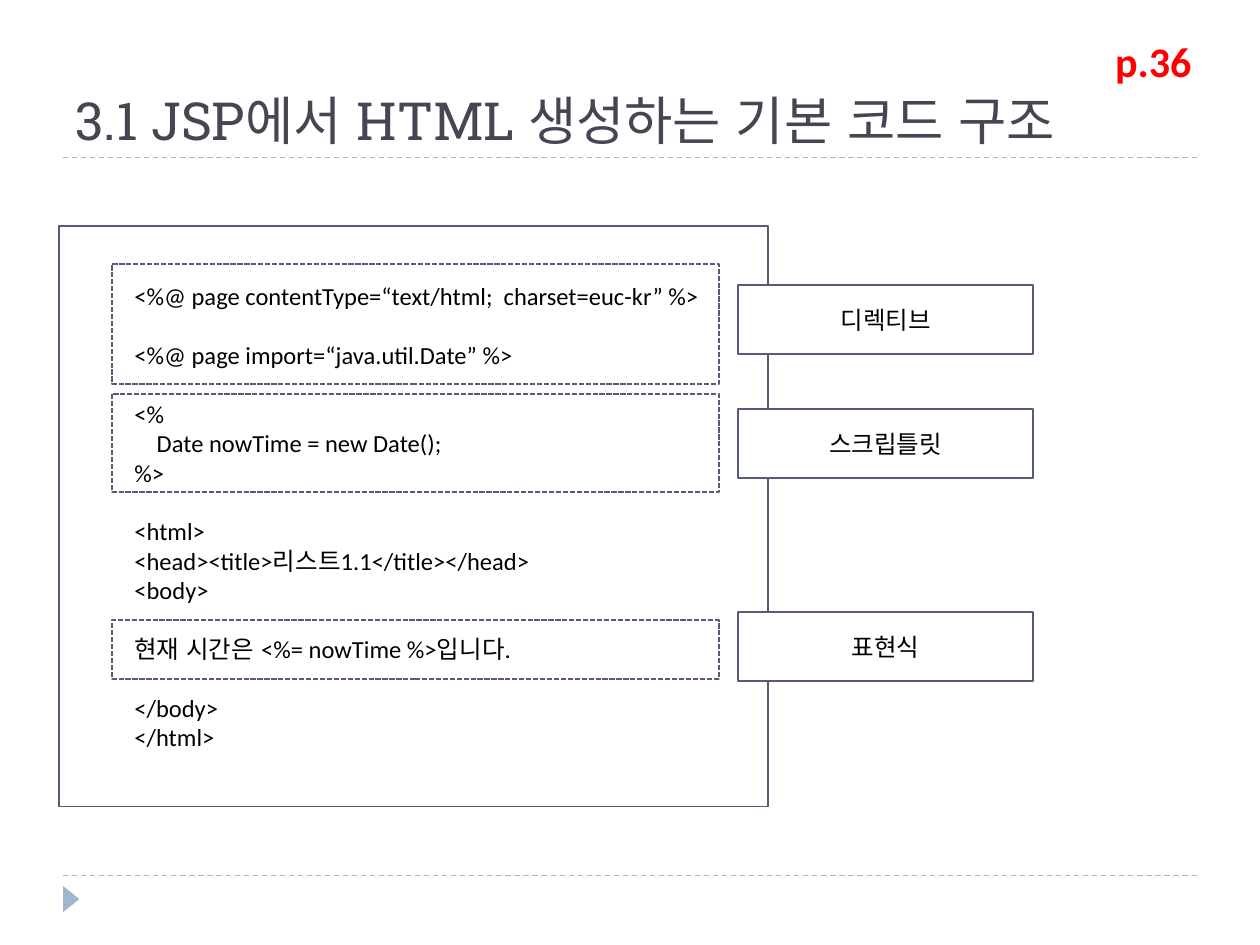
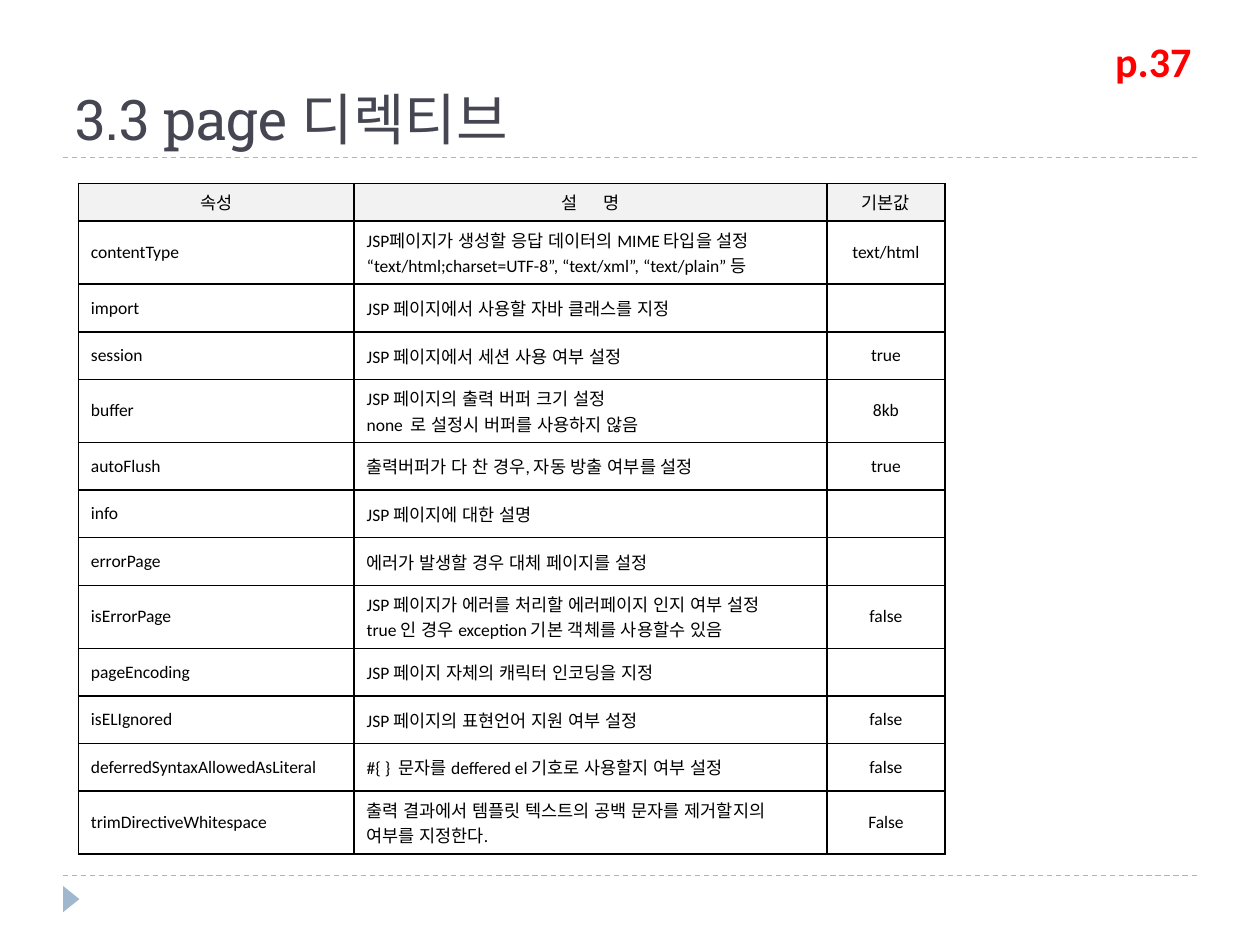
"""Build two slides on the structure of a JSP page and its page directive."""
from dataclasses import dataclass

from lxml.etree import SubElement
from pptx import Presentation
from pptx.dml.color import RGBColor
from pptx.enum.dml import MSO_LINE
from pptx.enum.lang import MSO_LANGUAGE_ID
from pptx.enum.shapes import MSO_CONNECTOR, MSO_SHAPE
from pptx.enum.text import MSO_ANCHOR, MSO_AUTO_SIZE, PP_ALIGN
from pptx.oxml.ns import qn
from pptx.util import Cm, Pt


@dataclass(frozen=True)
class Theme:
    """Colours, fonts and type sizes of the deck."""
    title_colour: str = "464653"
    text_colour: str = "000000"
    page_colour: str = "FF0000"
    outline: str = "545C79"
    accent: str = "9FB8CD"
    paper: str = "FFFFFF"
    header_fill: str = "F2F2F2"
    title_font: str = "Roboto Slab"
    body_font: str = "Calibri"
    code_size: float = 14
    code_gap: float = 16.8
    table_size: float = 10
    page_size: float = 24


CODE_BLOCKS = [
    ["<%@ page contentType=“text/html;  charset=euc-kr” %>"],
    ["<%@ page import=“java.util.Date” %>"],
    ["<%", "\tDate nowTime = new Date();", "%>"],
    ["<html>", "<head><title>리스트1.1</title></head>", "<body>"],
    ["현재 시간은 <%= nowTime %>입니다."],
    ["</body>", "</html>"],
]
CODE_FRAMES = [(5.32, 2.42), (7.94, 1.98), (12.5, 1.19)]
CODE_LABELS = [("디렉티브", 5.75), ("스크립틀릿", 8.25), ("표현식", 12.34)]

COLUMN_WIDTHS = [5.56, 9.53, 2.38]
HEADER_HEIGHT, ROW_HEIGHT, TALL_ROW_HEIGHT = 0.76, 0.96, 1.27
TALL_ROWS = ("contentType", "buffer", "isErrorPage", "trimDirectiveWhitespace")
ATTRIBUTES = [
    ("속성", "설 명", "기본값"),
    ("contentType", "JSP페이지가 생성할 응답 데이터의 MIME 타입을 설정\n"
     "“text/html;charset=UTF-8”, “text/xml”, “text/plain” 등", "text/html"),
    ("import", "JSP 페이지에서 사용할 자바 클래스를 지정", ""),
    ("session", "JSP 페이지에서 세션 사용 여부 설정", "true"),
    ("buffer", "JSP 페이지의 출력 버퍼 크기 설정\n"
     "none  로 설정시 버퍼를 사용하지 않음", "8kb"),
    ("autoFlush", "출력버퍼가 다 찬 경우, 자동 방출 여부를 설정", "true"),
    ("info", "JSP 페이지에 대한 설명", ""),
    ("errorPage", "에러가 발생할 경우 대체 페이지를 설정", ""),
    ("isErrorPage", "JSP 페이지가 에러를 처리할 에러페이지 인지 여부 설정\n"
     "true 인 경우 exception 기본 객체를 사용할수 있음", "false"),
    ("pageEncoding", "JSP 페이지 자체의 캐릭터 인코딩을 지정", ""),
    ("isELIgnored", "JSP 페이지의 표현언어 지원 여부 설정", "false"),
    ("deferredSyntaxAllowedAsLiteral",
     "#{ }  문자를 deffered el 기호로 사용할지 여부 설정", "false"),
    ("trimDirectiveWhitespace",
     "출력 결과에서 템플릿 텍스트의 공백 문자를 제거할지의 여부를 지정한다.", "False"),
]


class SlideBuilder:
    """Hold the theme and the current slide, and draw each kind of element."""

    def __init__(self, deck, theme):
        self.deck = deck
        self.theme = theme
        self.page = None

    def start_page(self, title, title_size, title_width, page_number):
        """Add a slide with its title, rules, marker and page reference."""
        self.page = self.deck.slides.add_slide(self.deck.slide_layouts[5])
        box = self.page.shapes.title
        box.left, box.top = Cm(1.27), Cm(0.43)
        box.width, box.height = Cm(title_width), Cm(2.75)
        frame = box.text_frame
        frame.auto_size = MSO_AUTO_SIZE.NONE
        frame.vertical_anchor = MSO_ANCHOR.BOTTOM
        para = frame.paragraphs[0]
        para.alignment = PP_ALIGN.LEFT
        self.add_span(para, title, title_size, self.theme.title_colour,
                      self.theme.title_font)
        for height in (3.18, 17.65):
            self.add_rule(height)
        marker = self.add_box(1.17, 17.96, 0.53, 0.33, fill=self.theme.accent,
                              outline=None, kind=MSO_SHAPE.ISOSCELES_TRIANGLE)
        marker.rotation = 90
        self.add_page_number(page_number)

    def add_span(self, para, text, size, colour=None, font=None, bold=False):
        """Append one formatted run to a paragraph."""
        span = para.add_run()
        span.text = text
        span.font.size = Pt(size)
        span.font.name = font or self.theme.body_font
        span.font.bold = bold
        span.font.language_id = MSO_LANGUAGE_ID.KOREAN
        span.font.color.rgb = RGBColor.from_string(colour or self.theme.text_colour)
        return span

    def add_rule(self, height):
        """Draw a dashed line across the slide."""
        rule = self.page.shapes.add_connector(
            MSO_CONNECTOR.STRAIGHT, Cm(1.27), Cm(height), Cm(24.13), Cm(height))
        rule.line.color.rgb = RGBColor.from_string(self.theme.accent)
        rule.line.width = Pt(0.75)
        rule.line.dash_style = MSO_LINE.DASH
        SubElement(rule._element.spPr, qn("a:effectLst"))

    def add_page_number(self, text):
        """Write the book page in the top right corner."""
        box = self.page.shapes.add_textbox(Cm(22.23), Cm(0.6), Cm(2.59), Cm(1.27))
        box.text_frame.word_wrap = True
        box.text_frame.auto_size = MSO_AUTO_SIZE.SHAPE_TO_FIT_TEXT
        self.add_span(box.text_frame.paragraphs[0], text, self.theme.page_size,
                      self.theme.page_colour, bold=True)

    def add_box(self, left, top, width, height, fill=None, outline=Theme.outline,
                dash=None, kind=MSO_SHAPE.RECTANGLE):
        """Draw a preset shape with an optional fill and outline."""
        box = self.page.shapes.add_shape(kind, Cm(left), Cm(top), Cm(width), Cm(height))
        box.shadow.inherit = False
        if fill:
            box.fill.solid()
            box.fill.fore_color.rgb = RGBColor.from_string(fill)
        else:
            box.fill.background()
        if outline:
            box.line.color.rgb = RGBColor.from_string(outline)
            box.line.width = Pt(1)
            box.line.dash_style = dash
        else:
            box.line.fill.background()
        box.text_frame.vertical_anchor = MSO_ANCHOR.MIDDLE
        return box

    def add_label(self, text, top):
        """Draw a white box that names a part of the code."""
        box = self.add_box(14.88, top, 5.95, 1.39, fill=self.theme.paper)
        para = box.text_frame.paragraphs[0]
        para.alignment = PP_ALIGN.CENTER
        self.add_span(para, text, self.theme.code_size)

    def add_code(self, blocks):
        """Draw the code panel, with a line's gap between blocks."""
        frame = self.add_box(1.19, 4.56, 14.3, 11.7).text_frame
        para = frame.paragraphs[0]
        for block_index, block in enumerate(blocks):
            for line_index, line in enumerate(block):
                if block_index or line_index:
                    para = frame.add_paragraph()
                para.alignment = PP_ALIGN.LEFT
                margin = 1.72 if line.startswith("\t") else 1.27
                para._p.get_or_add_pPr().set("marL", str(Cm(margin)))
                if block_index and not line_index:
                    para.space_before = Pt(self.theme.code_gap)
                self.add_span(para, line.strip(), self.theme.code_size)

    def add_table(self, rows):
        """Draw the attribute table with a shaded header."""
        heights = [HEADER_HEIGHT] + [
            TALL_ROW_HEIGHT if name in TALL_ROWS else ROW_HEIGHT
            for name, *_ in rows[1:]]
        table = self.page.shapes.add_table(
            len(rows), len(COLUMN_WIDTHS), Cm(1.58), Cm(3.7),
            Cm(sum(COLUMN_WIDTHS)), Cm(sum(heights))).table
        table.first_row = table.horz_banding = False
        for column, width in zip(table.columns, COLUMN_WIDTHS):
            column.width = Cm(width)
        for row_index, (values, height) in enumerate(zip(rows, heights)):
            table.rows[row_index].height = Cm(height)
            for column_index, value in enumerate(values):
                self.fill_cell(table.cell(row_index, column_index), value,
                               header=row_index == 0,
                               centred=row_index == 0 or column_index == 2)
        table.cell(len(rows) - 1, 1).margin_right = Cm(0.5)

    def fill_cell(self, cell, value, header, centred):
        """Write and format one table cell."""
        cell.vertical_anchor = MSO_ANCHOR.MIDDLE
        self.add_borders(cell)
        if header:
            cell.fill.solid()
            cell.fill.fore_color.rgb = RGBColor.from_string(self.theme.header_fill)
        else:
            cell.fill.background()
        for index, line in enumerate(value.split("\n")):
            frame = cell.text_frame
            para = frame.add_paragraph() if index else frame.paragraphs[0]
            para.alignment = PP_ALIGN.CENTER if centred else PP_ALIGN.LEFT
            if line:
                span = self.add_span(para, line, self.theme.table_size)
                if header and " " in line:
                    span._r.get_or_add_rPr().set("spc", "600")
            else:
                SubElement(para._p, qn("a:endParaRPr"),
                           sz=str(int(self.theme.table_size * 100)))

    def add_borders(self, cell):
        """Give a cell a thin line on all four sides."""
        properties = cell._tc.get_or_add_tcPr()
        for side in ("a:lnL", "a:lnR", "a:lnT", "a:lnB"):
            border = SubElement(properties, qn(side), w=str(Pt(1)))
            fill = SubElement(border, qn("a:solidFill"))
            SubElement(fill, qn("a:srgbClr"), val=self.theme.text_colour)


def main():
    """Build and save the deck."""
    deck = Presentation()
    deck.slide_width, deck.slide_height = Cm(25.4), Cm(19.05)
    builder = SlideBuilder(deck, Theme())

    builder.start_page("3.1 JSP에서 HTML 생성하는 기본 코드 구조", 30, 22.86, "p.36")
    builder.add_code(CODE_BLOCKS)
    for top, height in CODE_FRAMES:
        builder.add_box(2.26, top, 12.23, height, dash=MSO_LINE.SQUARE_DOT)
    for text, top in CODE_LABELS:
        builder.add_label(text, top)

    builder.start_page("3.3 page 디렉티브", 32, 13.21, "p.37")
    builder.add_table(ATTRIBUTES)
    deck.save("out.pptx")


if __name__ == "__main__":
    main()
